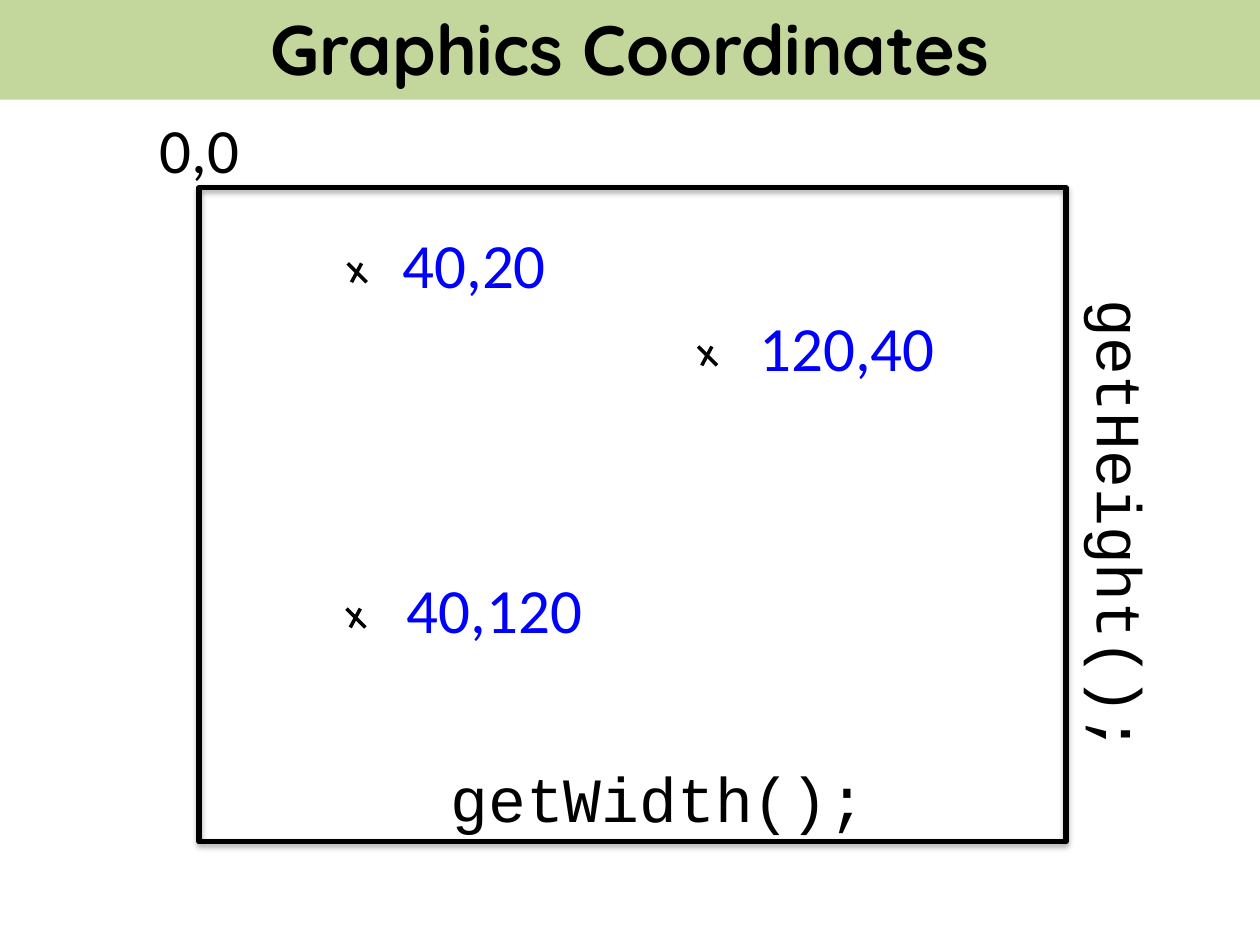
import pptx
import pptx.util
import pptx.dml.color
import pptx.enum.shapes
import pptx.enum.text
import pptx.oxml
import pptx.oxml.ns
from pptx.util import Inches

COLORS = {"banner": "C3D69B", "ink": "000000", "point": "0000FF"}

TITLE = "Graphics Coordinates"
BANNER = (0, -0.03, 10, 0.82)
CANVAS = (1.58, 1.49, 6.88, 5.19)
LABEL_HEIGHT = 0.71
LABELS = [
    ("0,0", 1.12, 0.83, 0.93, "Calibri", 0),
    ("getHeight();", 6.82, 3.82, 4.16, "Courier New", 90),
    ("getWidth();", 3.43, 5.98, 3.59, "Courier New", 0),
]
POINTS = [
    ("40,20", 2.76, 2.09, 2.95),
    ("40,120", 2.75, 4.83, 3.11),
    ("120,40", 5.54, 2.75, 5.91),
]
POINT_LABEL_WIDTH = 1.63
POINT_LABEL_RISE = 0.35
CROSS_HEIGHT = 0.15
CROSS_STROKES = [(0, 0.15), (0.11, 0.03)]


def color(name):
    return pptx.dml.color.RGBColor.from_string(COLORS[name])


def write(shape, text, size, font, ink, bold=False):
    frame = shape.text_frame
    frame.word_wrap = True
    paragraph = frame.paragraphs[0]
    paragraph.alignment = pptx.enum.text.PP_ALIGN.CENTER
    run = paragraph.add_run()
    run.text = text
    run.font.size = pptx.util.Pt(size)
    run.font.name = font
    run.font.bold = bold
    run.font.color.rgb = color(ink)


def add_rectangle(shapes, box):
    shape = shapes.add_shape(
        pptx.enum.shapes.MSO_SHAPE.RECTANGLE, *map(Inches, box))
    shape.shadow.inherit = False
    return shape


def add_label(shapes, text, left, top, width, font, ink, rotation=0):
    box = shapes.add_textbox(
        Inches(left), Inches(top), Inches(width), Inches(LABEL_HEIGHT))
    box.rotation = rotation
    write(box, text, 36, font, ink)
    box.text_frame.auto_size = pptx.enum.text.MSO_AUTO_SIZE.SHAPE_TO_FIT_TEXT


def add_stroke(shapes, *ends):
    line = shapes.add_connector(
        pptx.enum.shapes.MSO_CONNECTOR.STRAIGHT, *map(Inches, ends))
    line.line.color.rgb = color("ink")
    line.line.width = pptx.util.Pt(2)
    properties = line._element.spPr
    properties.append(pptx.oxml.parse_xml(
        f"<a:effectLst {pptx.oxml.ns.nsdecls('a')}/>"))


def add_soft_shadow(shape):
    effects = shape._element.spPr.find(pptx.oxml.ns.qn("a:effectLst"))
    blur, distance = pptx.util.Pt(3.1), pptx.util.Pt(1.8)
    effects.append(pptx.oxml.parse_xml(
        f'<a:outerShdw {pptx.oxml.ns.nsdecls("a")} blurRad="{blur}" '
        f'dist="{distance}" dir="5400000" rotWithShape="0">'
        f'<a:srgbClr val="{COLORS["ink"]}"><a:alpha val="35000"/></a:srgbClr>'
        '</a:outerShdw>'))


presentation = pptx.Presentation()
presentation.slide_width = Inches(10)
presentation.slide_height = Inches(7.5)
slide = presentation.slides.add_slide(presentation.slide_layouts[6])

banner = add_rectangle(slide.shapes, BANNER)
banner.fill.solid()
banner.fill.fore_color.rgb = color("banner")
banner.line.fill.background()
banner.text_frame.vertical_anchor = pptx.enum.text.MSO_ANCHOR.MIDDLE
write(banner, TITLE, 40, "Quicksand", "ink", bold=True)

canvas = add_rectangle(slide.shapes, CANVAS)
canvas.fill.background()
canvas.line.color.rgb = color("ink")
canvas.line.width = pptx.util.Pt(3)
add_soft_shadow(canvas)

for text, left, top, width, font, rotation in LABELS:
    add_label(slide.shapes, text, left, top, width, font, "ink", rotation)

for text, left, top, label_left in POINTS:
    group = slide.shapes.add_group_shape()
    for start, end in CROSS_STROKES:
        add_stroke(group.shapes, left + start, top, left + end, top + CROSS_HEIGHT)
    add_label(group.shapes, text, label_left, top - POINT_LABEL_RISE,
              POINT_LABEL_WIDTH, "Calibri", "point")

presentation.save("out.pptx")
